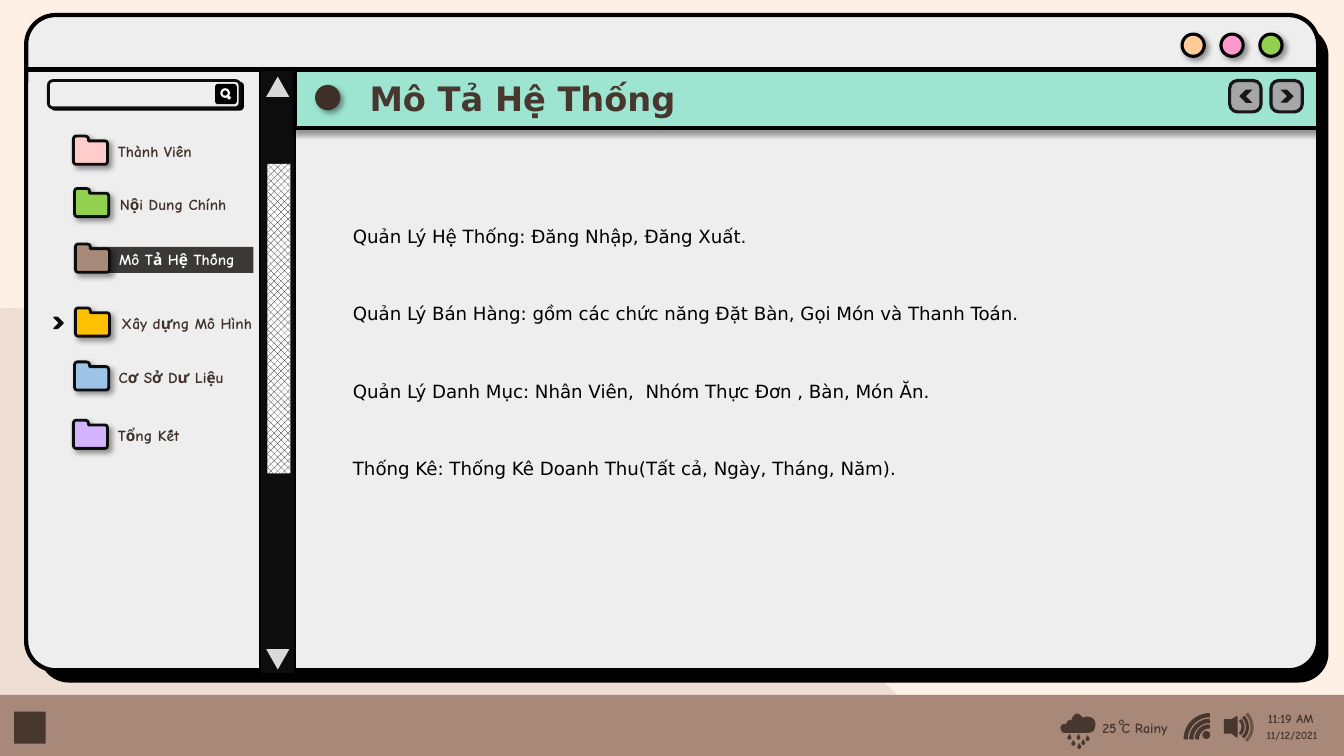
from lxml import etree
from pptx import Presentation
from pptx.dml.color import RGBColor
from pptx.enum.dml import MSO_PATTERN
from pptx.enum.shapes import MSO_CONNECTOR, MSO_SHAPE
from pptx.enum.text import MSO_ANCHOR, MSO_AUTO_SIZE, PP_ALIGN
from pptx.oxml.ns import qn
from pptx.util import Cm, Pt

RECT, ROUND, OVAL = MSO_SHAPE.RECTANGLE, MSO_SHAPE.ROUNDED_RECTANGLE, MSO_SHAPE.OVAL
ARC, CHEVRON, DROP = MSO_SHAPE.ARC, MSO_SHAPE.CHEVRON, MSO_SHAPE.TEAR
TRIANGLE = MSO_SHAPE.ISOSCELES_TRIANGLE
STRAIGHT = MSO_CONNECTOR.STRAIGHT
LEFT, CENTER = PP_ALIGN.LEFT, PP_ALIGN.CENTER
TOP, MIDDLE = MSO_ANCHOR.TOP, MSO_ANCHOR.MIDDLE
DARK_VERTICAL, HALF_TONE = MSO_PATTERN.DARK_VERTICAL, MSO_PATTERN.PERCENT_50

HAND, SANS = "Comic Neue", "DejaVu Sans"
COLORS = {
    "cream": "FFF0E5", "wave": "EEDDD2", "taskbar": "A88878", "coffee": "47372F",
    "bark": "3F3029", "sound": "6D5447", "black": "000000", "ink": "0D0D0D",
    "charcoal": "181717", "white": "FFFFFF", "panel": "EEEEEE", "arrow": "D9D9D9",
    "button": "A6A6A6", "highlight": "3B3838", "mint": "9DE5D1", "peach": "FFCC99",
    "pink": "FF99CC", "green": "92D050", "rose": "FFCCCC", "amber": "FFC000",
    "sky": "9DC3E6", "lilac": "D4B4FE",
}
# Outlines in cm: two numbers are a line's end, six are a Bézier curve.
WAVE = [(0, 7.77), (6.53, 7.57, 1.75, 15.14, 10.21, 15.01),
        (17.2, 14.91, 20.52, 14.61, 24.03, 19.05), (0, 19.05)]
CLOUD = [(27.15, 17.98), (27.2, 17.98, 27.25, 18.03, 27.28, 18.08), (27.31, 18.08),
         (27.33, 18.06, 27.36, 18.06, 27.41, 18.06),
         (27.53, 18.06, 27.61, 18.14, 27.61, 18.26),
         (27.61, 18.31, 27.58, 18.37, 27.56, 18.42),
         (27.53, 18.44, 27.48, 18.47, 27.41, 18.47), (26.82, 18.47),
         (26.8, 18.47, 26.75, 18.45, 26.75, 18.42),
         (26.72, 18.39, 26.72, 18.36, 26.72, 18.34),
         (26.72, 18.29, 26.77, 18.24, 26.82, 18.24), (26.87, 18.24),
         (26.87, 18.19, 26.92, 18.14, 26.97, 18.14), (27, 18.14),
         (27.03, 18.06, 27.08, 17.98, 27.15, 17.98)]
SPEAKER = [(31.17, 18.06), (31.17, 18.57), (31.04, 18.47), (30.86, 18.47),
           (30.86, 18.14), (31.04, 18.14)]
FOLDER = [(0.06, 0), (0.3, 0), (0.35, 0, 0.38, 0.03, 0.38, 0.07), (0.38, 0.12),
          (0.8, 0.12), (0.84, 0.12, 0.86, 0.15, 0.86, 0.19), (0.86, 0.64),
          (0.86, 0.68, 0.84, 0.71, 0.8, 0.71), (0.06, 0.71),
          (0.03, 0.71, 0, 0.68, 0, 0.64), (0, 0.07), (0, 0.03, 0.03, 0, 0.06, 0)]
RAINDROPS = [(26.9, 18.54, 319), (27, 18.69, 314), (27.13, 18.54, 316),
             (27.25, 18.67, 314), (27.36, 18.57, 313), (27.15, 18.77, 313)]
MENU = [  # folder left, label left, top, label, folder colour, label colour
    (1.85, 2.72, 3.43, "Thành Viên", "rose", "bark"),
    (1.88, 2.77, 4.75, "Nội Dung Chính", "green", "bark"),
    (1.9, 2.75, 6.15, "Mô Tả Hệ Thống", "taskbar", "white"),
    (1.9, 2.81, 7.76, "Xây dựng Mô Hình", "amber", "bark"),
    (1.88, 2.74, 9.12, "Cơ Sở Dư Liệu", "sky", "bark"),
    (1.85, 2.72, 10.59, "Tổng Kết", "lilac", "bark"),
]
FEATURES = [
    "Quản Lý Hệ Thống: Đăng Nhập, Đăng Xuất.",
    "Quản Lý Bán Hàng: gồm các chức năng Đặt Bàn, Gọi Món và Thanh Toán.",
    "Quản Lý Danh Mục: Nhân Viên,  Nhóm Thực Đơn , Bàn, Món Ăn.",
    "Thống Kê: Thống Kê Doanh Thu(Tất cả, Ngày, Tháng, Năm).",
]


def rgb(name):
    return RGBColor.from_string(COLORS[name])


def style(shape, fill=None, line=None, width=1, pattern=None, shadow=None):
    """Set fill, outline and shadow; shadow is its angle in degrees."""
    if pattern:
        kind, front, back = pattern
        shape.fill.patterned()
        shape.fill.pattern = kind
        shape.fill.fore_color.rgb, shape.fill.back_color.rgb = rgb(front), rgb(back)
    elif fill:
        shape.fill.solid()
        shape.fill.fore_color.rgb = rgb(fill)
    else:
        shape.fill.background()
    if line:
        shape.line.color.rgb = rgb(line)
        shape.line.width = Pt(width)
    else:
        shape.line.fill.background()
    shape.shadow.inherit = False
    if shadow is not None:
        effects = shape._element.spPr.find(qn("a:effectLst"))
        outer = etree.SubElement(effects, qn("a:outerShdw"), blurRad=str(Pt(4)),
                                 dist=str(Pt(3)), dir=str(shadow * 60000), rotWithShape="0")
        tint = etree.SubElement(outer, qn("a:srgbClr"), val=COLORS["black"])
        etree.SubElement(tint, qn("a:alpha"), val="40000")


def place(item, x, y, w, h):
    item.left, item.top, item.width, item.height = Cm(x), Cm(y), Cm(w), Cm(h)


def draw(slide, preset, x, y, w, h, adjust=None, turn=0, **look):
    shape = slide.shapes.add_shape(preset, Cm(x), Cm(y), Cm(w), Cm(h))
    if adjust is not None:
        shape.adjustments[0] = adjust
    shape.rotation = turn
    style(shape, **look)


def arcs(slide, x, y, diameters, turn, colors, width):
    """Draw concentric quarter circles around one centre."""
    for size, color in zip(diameters, colors):
        draw(slide, ARC, x - size / 2, y - size / 2, size, size, turn=turn,
             line=color, width=width)


def rule(slide, x1, y1, x2, y2, color, width):
    line = slide.shapes.add_connector(STRAIGHT, Cm(x1), Cm(y1), Cm(x2), Cm(y2))
    line.line.color.rgb = rgb(color)
    line.line.width = Pt(width)
    etree.SubElement(line._element.spPr, qn("a:effectLst"))


def outline(slide, steps, x=0, y=0, **look):
    """Draw a closed outline, turning six-number steps into true curves."""
    ends = [(Cm(x + step[-2]), Cm(y + step[-1])) for step in steps]
    builder = slide.shapes.build_freeform(*ends[0])
    builder.add_line_segments(ends[1:], close=True)
    shape = builder.convert_to_shape()
    for step, segment in zip(steps[1:], list(shape._element.iter(qn("a:lnTo")))):
        if len(step) == 6:
            segment.tag = qn("a:cubicBezTo")
            for i, (px, py) in enumerate((step[:2], step[2:4])):
                control = etree.Element(qn("a:pt"), x=str(Cm(x + px) - shape.left),
                                        y=str(Cm(y + py) - shape.top))
                segment.insert(i, control)
    style(shape, **look)


def write(holder, *lines, size, color, font=HAND, bold=True, align=LEFT, anchor=TOP,
          spacing=None, gap=None, indent=None):
    frame = holder.text_frame
    frame.word_wrap = True
    frame.auto_size = MSO_AUTO_SIZE.NONE
    frame.vertical_anchor = anchor
    for number, text in enumerate(lines):
        paragraph = frame.add_paragraph() if number else frame.paragraphs[0]
        paragraph.alignment = align
        if spacing:
            paragraph.line_spacing = spacing
        if gap is not None:
            paragraph.space_before = paragraph.space_after = Pt(gap)
        if indent is not None:
            props = paragraph._p.get_or_add_pPr()
            props.set("marL", str(Cm(indent)))
            props.set("indent", "0")
            etree.SubElement(props, qn("a:buNone"))
        run = paragraph.add_run()
        run.text = text
        run.font.size, run.font.name, run.font.bold = Pt(size), font, bold
        run.font.color.rgb = rgb(color)


def label(slide, text, x, y, w, h, **look):
    write(slide.shapes.add_textbox(Cm(x), Cm(y), Cm(w), Cm(h)), text, **look)


def taskbar(slide):
    draw(slide, RECT, 0, 17.51, 33.87, 1.54, fill="taskbar")
    draw(slide, RECT, 0.36, 17.93, 0.79, 0.81, fill="coffee")
    outline(slide, CLOUD, fill="coffee")
    for x, y, turn in RAINDROPS:
        draw(slide, DROP, x, y, 0.1, 0.1, adjust=1.35, turn=turn, fill="coffee")
    label(slide, "25 C Rainy", 27.53, 18.01, 2.39, 0.69, size=10, color="coffee")
    label(slide, "o", 27.94, 17.88, 0.66, 0.61, size=8, color="coffee")
    draw(slide, OVAL, 30.3, 18.42, 0.2, 0.2, fill="coffee")
    arcs(slide, 30.49, 18.63, (0.66, 0.94, 1.22), 270, ["coffee"] * 3, 3)
    outline(slide, SPEAKER, fill="coffee", line="coffee")
    arcs(slide, 31.07, 18.32, (0.51, 0.74, 0.97), 46, ["coffee", "coffee", "sound"], 2.25)
    label(slide, "11:19 AM", 31.7, 17.78, 2.26, 0.64, size=9, color="coffee")
    label(slide, "11/12/2021", 31.67, 18.24, 2.26, 0.61, size=8, color="coffee")


def window(slide):
    draw(slide, ROUND, 0.99, 0.66, 32.49, 16.54, adjust=0.045, fill="black")
    draw(slide, ROUND, 0.66, 0.38, 32.56, 16.51, adjust=0.045, line="black", width=3,
         pattern=(DARK_VERTICAL, "panel", "white"))
    rule(slide, 0.66, 1.75, 33.22, 1.75, "black", 3)
    for i, color in enumerate(("peach", "pink", "green")):
        draw(slide, OVAL, 29.79 + 0.98 * i, 0.86, 0.56, 0.56, fill=color, line="black",
             width=2.25, shadow=45)
    draw(slide, RECT, 6.55, 1.78, 0.89, 15.19, fill="ink", line="black")
    for y, turn in ((1.93, 0), (16.36, 180)):
        draw(slide, TRIANGLE, 6.71, y, 0.58, 0.51, turn=turn, fill="arrow")


def sidebar(slide):
    draw(slide, ROUND, 1.3, 2.08, 4.83, 0.69, adjust=0.12, fill="black", line="black")
    draw(slide, ROUND, 1.22, 2.03, 4.83, 0.69, adjust=0.17, fill="panel", line="ink", width=2)
    draw(slide, ROUND, 5.44, 2.13, 0.51, 0.48, adjust=0.12, fill="black", line="black")
    draw(slide, OVAL, 5.58, 2.25, 0.19, 0.19, line="white", width=1.5)
    rule(slide, 5.72, 2.41, 5.8, 2.49, "panel", 2.25)
    draw(slide, RECT, 2.11, 6.22, 4.28, 0.66, fill="highlight")
    for x, label_x, y, text, color, text_color in MENU:
        outline(slide, FOLDER, x, y, fill=color, line="ink", width=2, shadow=45)
        label(slide, text, label_x, y + 0.03, 4.24, 0.74, size=11, color=text_color)
    draw(slide, CHEVRON, 1.36, 8, 0.23, 0.28, adjust=0.61, fill="black", line="ink")


def content(slide):
    title, body = slide.shapes.title, slide.placeholders[1]
    draw(slide, RECT, 7.44, 1.75, 25.78, 1.47, fill="mint", line="black", width=3, shadow=90)
    draw(slide, OVAL, 7.98, 2.18, 0.56, 0.56, fill="bark", line="bark", width=2.25, shadow=45)
    for x, turn in ((30.99, 180), (32.03, 0)):
        draw(slide, ROUND, x, 2.03, 0.79, 0.79, adjust=0.25, fill="button",
             line="charcoal", width=2.25)
        draw(slide, CHEVRON, x + 0.24, 2.26, 0.33, 0.33, turn=turn, fill="charcoal")
    draw(slide, RECT, 6.74, 4.13, 0.58, 7.8, pattern=(HALF_TONE, "black", "white"))
    for holder in (title, body):  # bring the text in front of the window
        slide.shapes._spTree.append(holder._element)
    place(title, 8.28, 1.83, 9.78, 1.27)
    write(title, "Mô Tả Hệ Thống", size=24, color="coffee", font=SANS, align=CENTER,
          anchor=MIDDLE)
    place(body, 8, 5.27, 23.77, 7.8)
    write(body, *FEATURES, size=13, color="black", font=SANS, bold=False, spacing=1.5,
          gap=16, indent=0.64)


def main():
    deck = Presentation()
    deck.slide_width, deck.slide_height = Cm(33.87), Cm(19.05)
    slide = deck.slides.add_slide(deck.slide_layouts[1])
    slide.background.fill.solid()
    slide.background.fill.fore_color.rgb = rgb("cream")
    outline(slide, WAVE, fill="wave")
    taskbar(slide)
    window(slide)
    sidebar(slide)
    content(slide)
    deck.save("out.pptx")


if __name__ == "__main__":
    main()
